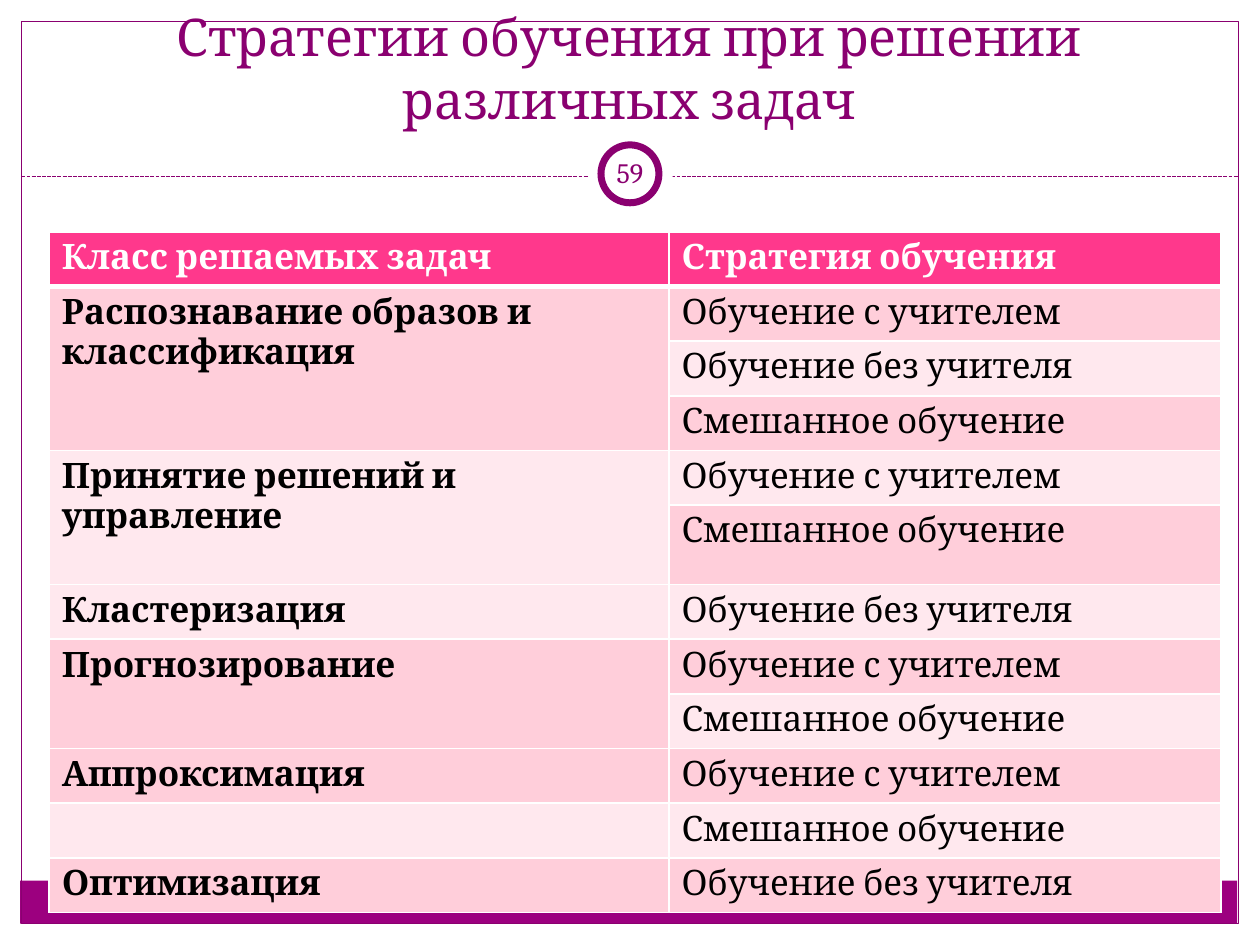
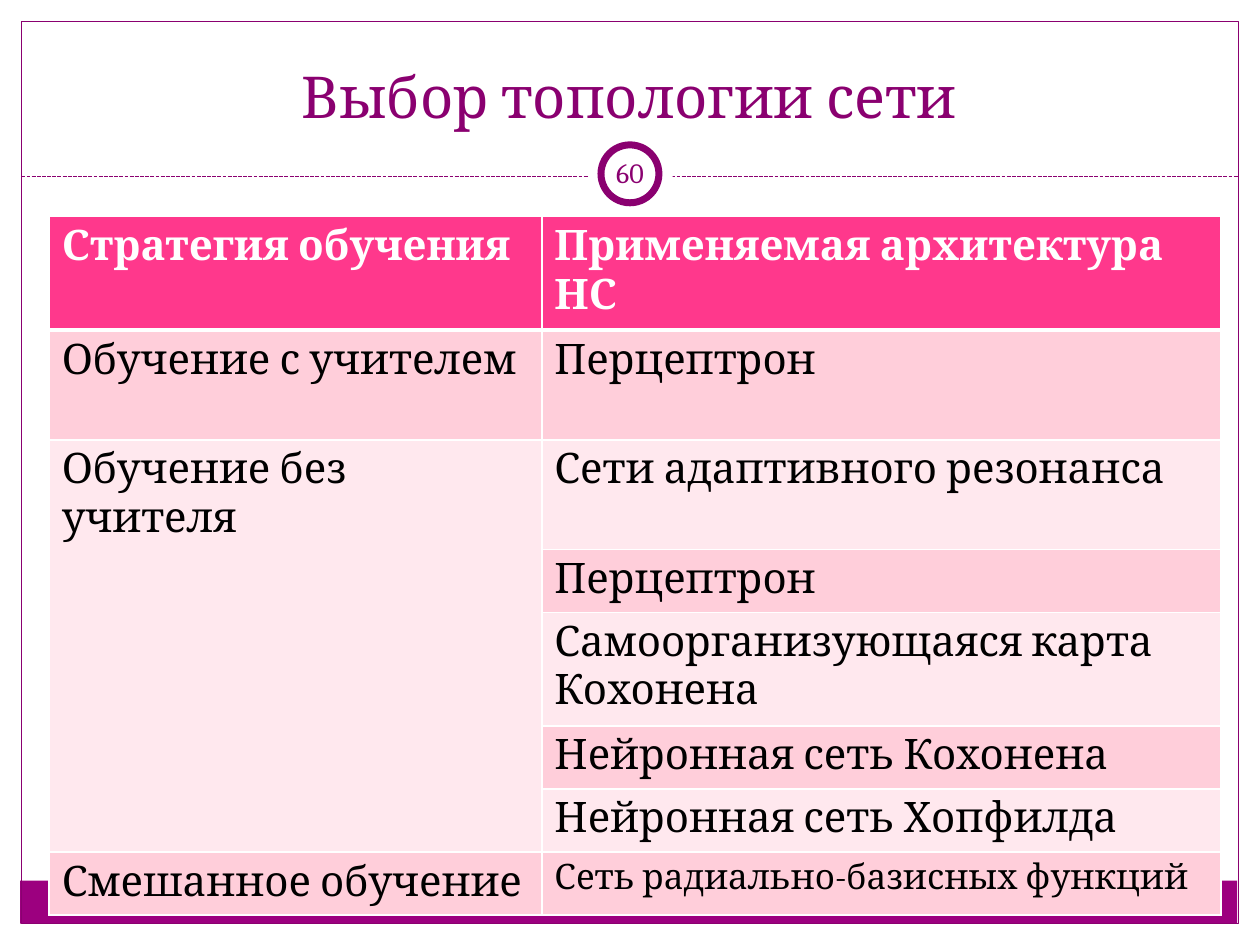
from dataclasses import dataclass

from lxml import etree
from pptx import Presentation
from pptx.dml.color import RGBColor
from pptx.enum.dml import MSO_LINE
from pptx.enum.shapes import MSO_CONNECTOR, MSO_SHAPE
from pptx.enum.text import MSO_ANCHOR, PP_ALIGN
from pptx.oxml.ns import qn
from pptx.shapes.autoshape import Shape
from pptx.slide import Slide
from pptx.table import _Cell
from pptx.text.text import TextFrame
from pptx.util import Inches, Pt

RECT, OVAL = MSO_SHAPE.RECTANGLE, MSO_SHAPE.OVAL
STRAIGHT = MSO_CONNECTOR.STRAIGHT
DASH = MSO_LINE.SQUARE_DOT
CENTER = PP_ALIGN.CENTER
MIDDLE, BOTTOM = MSO_ANCHOR.MIDDLE, MSO_ANCHOR.BOTTOM

FONT = "Cambria"
PLUM, BAND = "8A0070", "9C007F"
WHITE, BLACK = "FFFFFF", "000000"
HEAD, TINTS = "FF388C", ("FFE8EE", "FFCEDA")
LEFT = 0.39
TAUGHT, FREE, MIXED = "Обучение с учителем", "Обучение без учителя", "Смешанное обучение"


@dataclass(frozen=True)
class Box:
    """Place of a shape in inches."""
    left: float
    top: float
    width: float
    height: float


@dataclass(frozen=True)
class Part:
    """Preset shape of the shared frame."""
    kind: MSO_SHAPE
    box: Box
    fill: str = ""
    line: str = ""
    weight: float = 0.75


@dataclass(frozen=True)
class Row:
    """Right cell of a body row, with its height and text size."""
    text: str
    height: float
    size: float


@dataclass(frozen=True)
class Group:
    """Left cell and the rows that it spans."""
    label: str
    rows: tuple[Row, ...]


@dataclass(frozen=True)
class Page:
    """Content of one slide."""
    title: str
    size: float
    number: int
    top: float
    widths: tuple[float, float]
    heads: tuple[str, str]
    height: float
    font: float
    bold: bool
    groups: tuple[Group, ...]


FRAME = (
    Part(RECT, Box(0.16, 6.99, 9.66, 0.34), fill=BAND),
    Part(RECT, Box(0.17, 0.17, 9.66, 7.16), line=PLUM),
)
BADGE = (
    Part(OVAL, Box(4.67, 1.05, 0.67, 0.67), fill=WHITE),
    Part(OVAL, Box(4.77, 1.15, 0.46, 0.46), fill=WHITE, line=PLUM, weight=4),
)


def task(text: str, height: float = 0.42) -> Row:
    """Return a row of the task table."""
    return Row(text, height, 20)


def net(text: str, height: float = 0.48, size: float = 24) -> Row:
    """Return a row of the network table."""
    return Row(text, height, size)


PAGES = (
    Page("Стратегии обучения при решении различных задач", 29.7, 59, 1.84, (4.92, 4.38),
         ("Класс решаемых задач", "Стратегия обучения"), 0.42, 20, True, (
             Group("Распознавание образов и классификация",
                   (task(TAUGHT), task(FREE), task(MIXED))),
             Group("Принятие решений и управление", (task(TAUGHT), task(MIXED, 0.63))),
             Group("Кластеризация", (task(FREE),)),
             Group("Прогнозирование", (task(TAUGHT), task(MIXED))),
             Group("Аппроксимация", (task(TAUGHT),)),
             Group("", (task(MIXED),)),
             Group("Оптимизация", (task(FREE),)),
         )),
    Page("Выбор топологии сети", 33, 60, 1.72, (3.91, 5.39),
         ("Стратегия обучения", "Применяемая архитектура НС"), 0.87, 24, False, (
             Group(TAUGHT, (net("Перцептрон", 0.87),)),
             Group(FREE, (net("Сети адаптивного резонанса", 0.87), net("Перцептрон"),
                          net("Самоорганизующаяся карта Кохонена", 0.87),
                          net("Нейронная сеть Кохонена"), net("Нейронная сеть Хопфилда"))),
             Group(MIXED, (net("Сеть радиально-базисных функций", size=20),)),
         )),
)


def paint(code: str) -> RGBColor:
    """Turn a hex string into a colour."""
    return RGBColor.from_string(code)


def place(box: Box) -> tuple[Inches, Inches, Inches, Inches]:
    """Turn a box into lengths."""
    return Inches(box.left), Inches(box.top), Inches(box.width), Inches(box.height)


def write(frame: TextFrame, text: str, size: float, color: str, bold: bool = False) -> None:
    """Add one run to the first paragraph."""
    run = frame.paragraphs[0].add_run()
    run.text = text
    run.font.name = FONT
    run.font.size = Pt(size)
    run.font.bold = bold
    run.font.color.rgb = paint(color)


def draw(slide: Slide, part: Part) -> Shape:
    """Draw one part of the frame."""
    shape = slide.shapes.add_shape(part.kind, *place(part.box))
    shape.shadow.inherit = False
    if part.fill:
        shape.fill.solid()
        shape.fill.fore_color.rgb = paint(part.fill)
    else:
        shape.fill.background()
    if part.line:
        shape.line.color.rgb = paint(part.line)
        shape.line.width = Pt(part.weight)
    else:
        shape.line.fill.background()
    return shape


def rule(slide: Slide) -> None:
    """Draw the dashed line under the title."""
    line = slide.shapes.add_connector(STRAIGHT, Inches(0.17), Inches(1.4), Inches(9.83), Inches(1.4))
    line.line.color.rgb = paint(PLUM)
    line.line.width = Pt(0.75)
    line.line.dash_style = DASH
    etree.SubElement(line._element.spPr, qn("a:effectLst"))


def label(slide: Slide, box: Box, text: str, size: float, anchor: MSO_ANCHOR) -> TextFrame:
    """Add a centred text box."""
    frame = slide.shapes.add_textbox(*place(box)).text_frame
    frame.word_wrap = True
    frame.vertical_anchor = anchor
    frame.paragraphs[0].alignment = CENTER
    write(frame, text, size, PLUM)
    return frame


def border(cell: _Cell, base: float) -> None:
    """Give a cell white edges, with its own base width."""
    props = cell._tc.get_or_add_tcPr()
    for side, width in (("L", 1), ("R", 1), ("T", 1), ("B", base)):
        edge = etree.SubElement(props, qn(f"a:ln{side}"), w=str(Pt(width)))
        fill = etree.SubElement(edge, qn("a:solidFill"))
        etree.SubElement(fill, qn("a:srgbClr"), val=WHITE)


def style(cell: _Cell, fill: str, base: float = 1) -> None:
    """Set the edges and fill of a cell."""
    border(cell, base)
    cell.fill.solid()
    cell.fill.fore_color.rgb = paint(fill)


def grid(slide: Slide, page: Page) -> None:
    """Build the table of a page."""
    rows = [row for group in page.groups for row in group.rows]
    sizes = [page.height, *(row.height for row in rows)]
    box = Box(LEFT, page.top, sum(page.widths), sum(sizes))
    table = slide.shapes.add_table(len(sizes), 2, *place(box)).table
    table.horz_banding = False
    for column, width in zip(table.columns, page.widths):
        column.width = Inches(width)
    for line, height in zip(table.rows, sizes):
        line.height = Inches(height)
    for cell, text in zip(table.rows[0].cells, page.heads):
        style(cell, HEAD, 3)
        write(cell.text_frame, text, page.font, WHITE, True)
    for index, row in enumerate(rows, 1):
        for cell in table.rows[index].cells:
            style(cell, TINTS[index % 2])
        write(table.cell(index, 1).text_frame, row.text, row.size, BLACK)
    start = 1
    for group in page.groups:
        cell, count = table.cell(start, 0), len(group.rows)
        if count > 1:
            cell.merge(table.cell(start + count - 1, 0))
        if group.label:
            write(cell.text_frame, group.label, page.font, BLACK, page.bold)
        start += count


def build(slide: Slide, page: Page) -> None:
    """Draw the frame, title, number and table."""
    for part in FRAME:
        draw(slide, part)
    rule(slide)
    for part in BADGE:
        draw(slide, part)
    label(slide, Box(0.33, 0.25, 9.33, 0.83), page.title, page.size, BOTTOM)
    frame = label(slide, Box(4.75, 1.13, 0.5, 0.48), str(page.number), 16, MIDDLE)
    frame.margin_left = frame.margin_right = Inches(0.05)
    grid(slide, page)


def main() -> None:
    """Build and save the deck."""
    deck = Presentation()
    deck.slide_width, deck.slide_height = Inches(10), Inches(7.5)
    for page in PAGES:
        build(deck.slides.add_slide(deck.slide_layouts[6]), page)
    deck.save("out.pptx")


if __name__ == "__main__":
    main()
